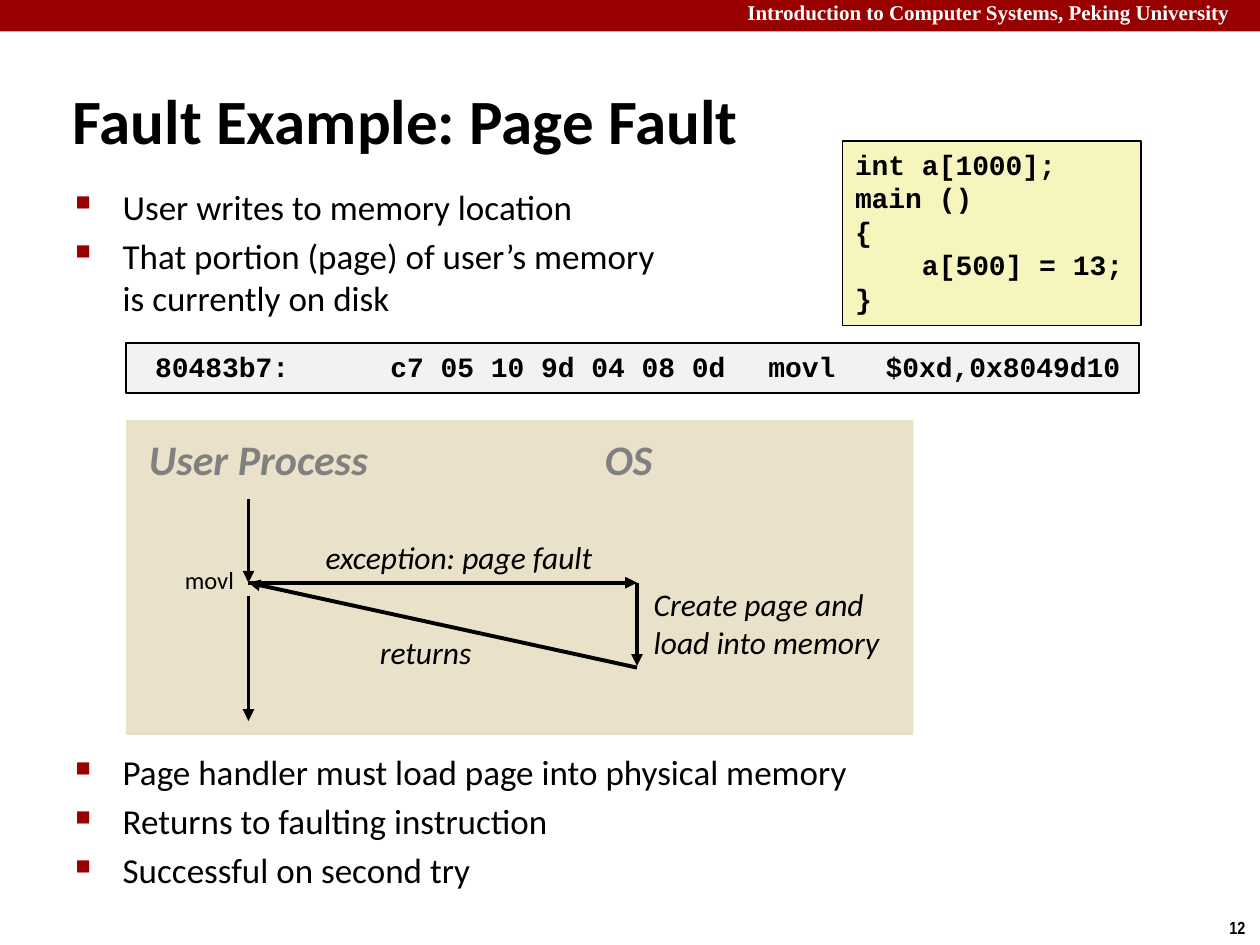
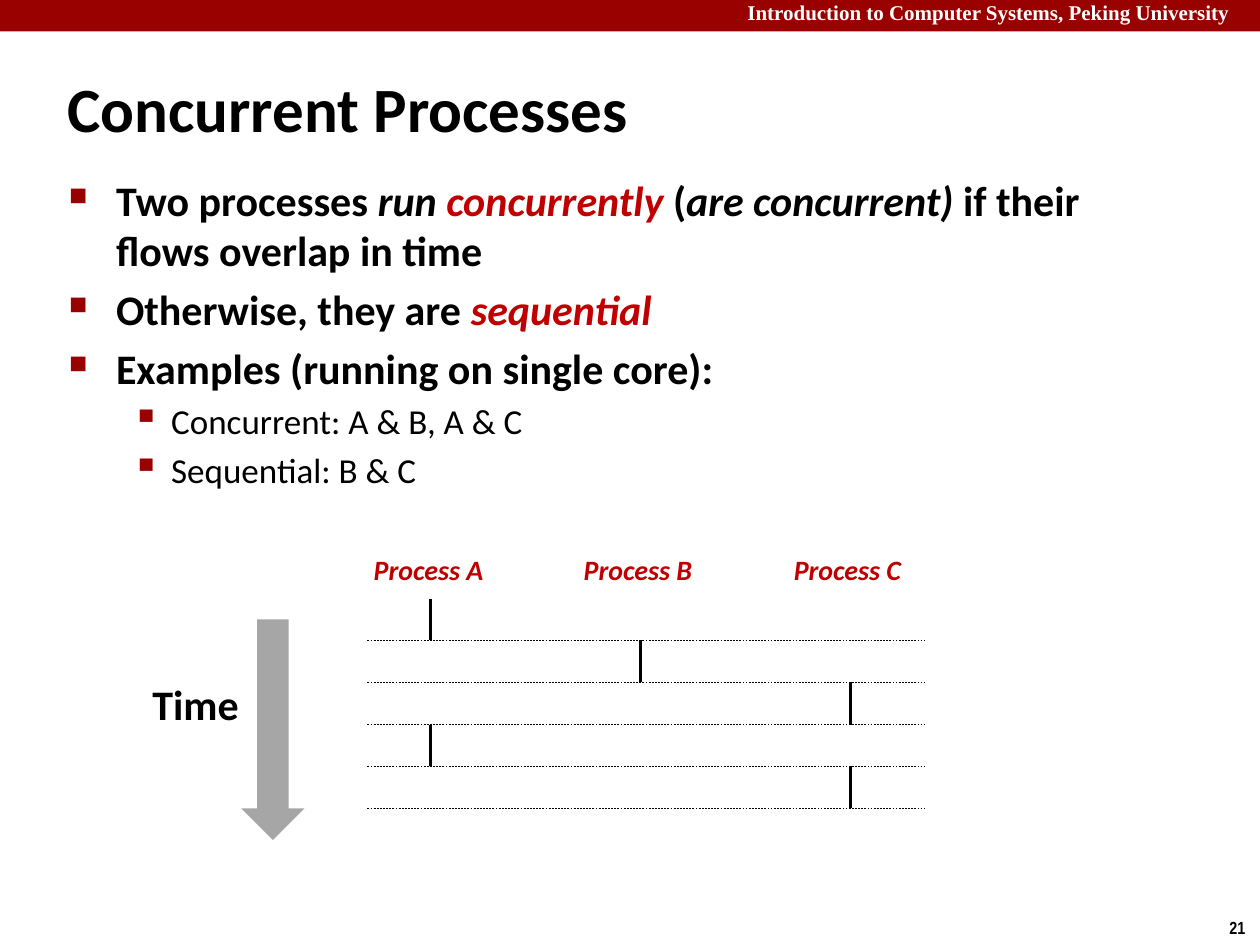
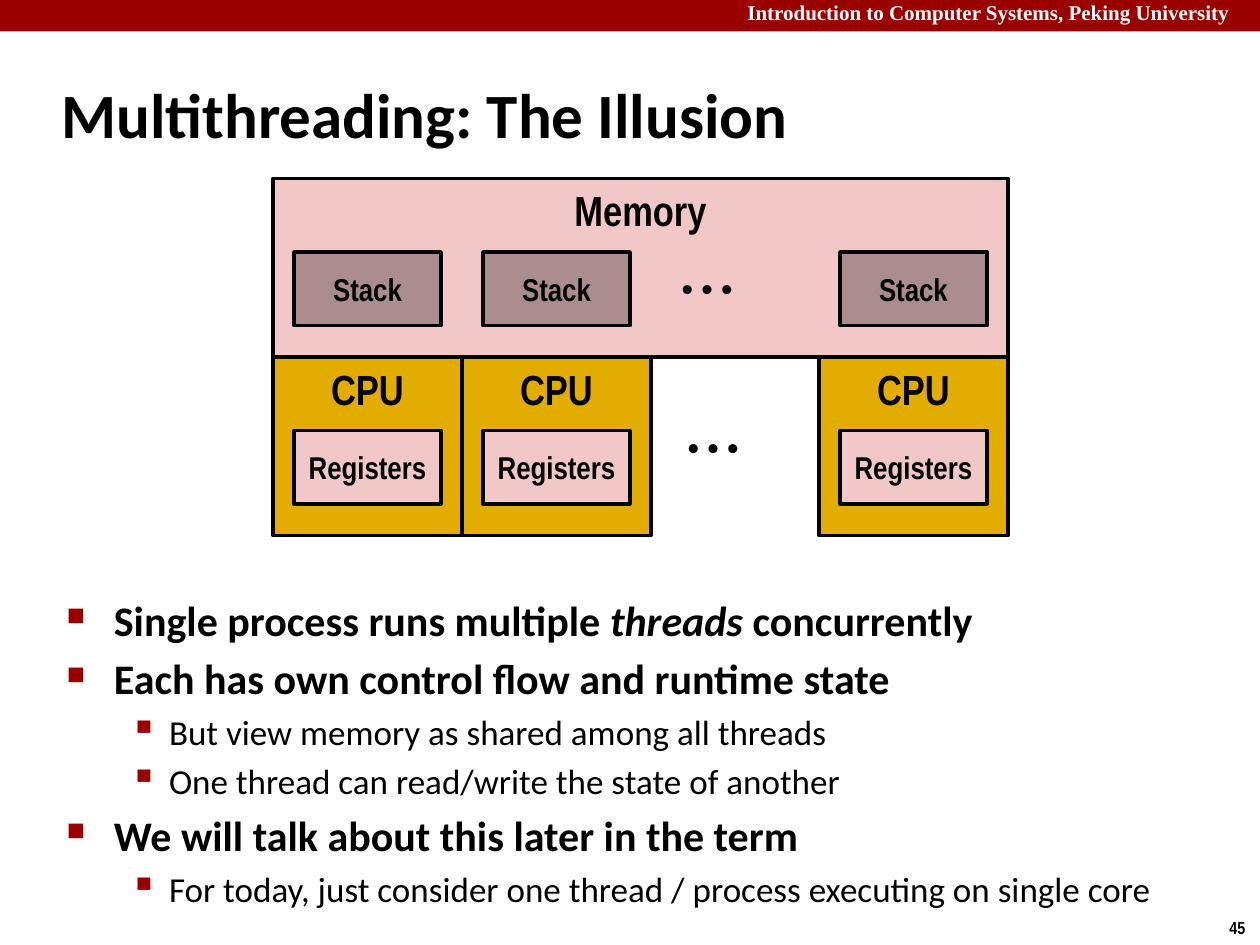
from lxml import etree
from pptx import Presentation
from pptx import util as u
from pptx.dml.color import RGBColor
from pptx.enum import dml, shapes, text
from pptx.oxml import ns

Pt = u.Pt
COLORS = {
    "band": "990000", "white": "FFFFFF", "black": "000000", "accent": "C00000",
    "sand": "E9E1C9", "code": "F6F5BD", "assembly": "F2F2F2", "heading": "808080",
    "time": "A6A6A6", "memory": "F1C7C7", "cpu": "E2AC00", "stack": "AB8D8D",
}
COURSE = "Introduction to Computer Systems, Peking University"
BODY = dict(font="Calibri", size=20)
CODE = dict(font="Courier New", size=16, bold=True)
NOTE = dict(font="Calibri", size=18, italic=True)
HARDWARE = dict(font="Arial Narrow", bold=True)
LEVELS = [
    dict(mark="■", scale=60, margin=27, hang=27, size=24, bold=True),
    dict(mark="▪", scale=110, margin=58.5, hang=22.5, size=20, bold=False),
]
PLAIN_LEVEL = dict(LEVELS[0], size=20, bold=False)


def rgb(name):
    return RGBColor.from_string(COLORS[name])


def add_xml(parent, tag, **attributes):
    return etree.SubElement(parent, ns.qn(tag), attributes)


def add_run(paragraph, words, font, size, color="black", bold=False, italic=False):
    run = paragraph.add_run()
    run.text = words
    run.font.name = font
    run.font.size = Pt(size)
    run.font.bold = bold
    run.font.italic = italic
    run.font.color.rgb = rgb(color)


def prepare_frame(frame, anchor, wrap):
    frame.word_wrap = wrap
    frame.vertical_anchor = anchor
    return frame


def fill_lines(frame, lines, style, align=text.PP_ALIGN.LEFT):
    for index, line in enumerate(lines):
        paragraph = frame.add_paragraph() if index else frame.paragraphs[0]
        paragraph.alignment = align
        add_run(paragraph, line, **style)


def add_label(slide, place, lines, style, wrap=False, anchor=text.MSO_ANCHOR.TOP):
    label = slide.shapes.add_textbox(*map(Pt, place))
    fill_lines(prepare_frame(label.text_frame, anchor, wrap), lines, style)


def add_block(slide, place, fill, weight=0, kind=shapes.MSO_SHAPE.RECTANGLE):
    block = slide.shapes.add_shape(kind, *map(Pt, place))
    block.shadow.inherit = False
    block.fill.solid()
    block.fill.fore_color.rgb = rgb(fill)
    if weight:
        block.line.color.rgb = rgb("black")
        block.line.width = Pt(weight)
    else:
        block.line.fill.background()
    return block


def add_code(slide, place, fill, lines, tabs=()):
    block = add_block(slide, place, fill, 1)
    frame = prepare_frame(block.text_frame, text.MSO_ANCHOR.TOP, bool(tabs))
    if tabs:
        stops = add_xml(frame.paragraphs[0]._p.get_or_add_pPr(), "a:tabLst")
        for stop in tabs:
            add_xml(stops, "a:tab", pos=str(Pt(stop)), algn="l")
    fill_lines(frame, lines, CODE)


def add_part(slide, place, fill, name, size, anchor):
    block = add_block(slide, place, fill, 2)
    frame = prepare_frame(block.text_frame, anchor, True)
    fill_lines(frame, [name], dict(HARDWARE, size=size), text.PP_ALIGN.CENTER)


def add_line(slide, start, end, weight, arrow=False, dashed=False):
    line = slide.shapes.add_connector(shapes.MSO_CONNECTOR.STRAIGHT, *map(Pt, start + end))
    line.line.color.rgb = rgb("black")
    line.line.width = Pt(weight)
    if dashed:
        line.line.dash_style = dml.MSO_LINE.DASH
    if arrow:
        add_xml(line.line._get_or_add_ln(), "a:tailEnd", type="triangle")
    add_xml(line._element.spPr, "a:effectLst")


def add_bullets(slide, place, items):
    body = slide.shapes.add_textbox(*map(Pt, place))
    frame = prepare_frame(body.text_frame, text.MSO_ANCHOR.TOP, True)
    for index, (level, runs) in enumerate(items):
        paragraph = frame.add_paragraph() if index else frame.paragraphs[0]
        props = paragraph._p.get_or_add_pPr()
        props.set("marL", str(Pt(level["margin"])))
        props.set("indent", str(-Pt(level["hang"])))
        add_xml(add_xml(props, "a:buClr"), "a:srgbClr", val=COLORS["band"])
        add_xml(props, "a:buSzPct", val=str(level["scale"] * 1000))
        add_xml(props, "a:buChar", char=level["mark"])
        if index:
            paragraph.space_before = Pt(level["size"] * 0.2)
        style = dict(BODY, size=level["size"], bold=level["bold"])
        for words, changes in runs:
            for row, part in enumerate(words.split("\n")):
                if row:
                    paragraph.add_line_break()
                add_run(paragraph, part, **{**style, **changes})


def plain(level, words):
    return level, [(words, {})]


def start_slide(deck, title, title_place, number):
    slide = deck.slides.add_slide(deck.slide_layouts[6])
    add_block(slide, (0, 0, 720, 18), "band")
    add_label(slide, (420, -3.6, 300, 21.6), [COURSE],
              dict(font="Times New Roman", size=12, color="white", bold=True), wrap=True)
    add_label(slide, (695.5, 520.5, 24.5, 19.5), [number], dict(HARDWARE, size=10))
    add_label(slide, title_place, [title], dict(font="Calibri", size=36, bold=True),
              wrap=True, anchor=text.MSO_ANCHOR.MIDDLE)
    return slide


def page_fault(deck):
    slide = start_slide(deck, "Fault Example: Page Fault", (34.5, 46, 621, 44), "12")
    add_block(slide, (72, 240, 450, 180), "sand")
    add_bullets(slide, (36, 102.2, 440, 85), [
        plain(PLAIN_LEVEL, "User writes to memory location"),
        plain(PLAIN_LEVEL, "That portion (page) of user’s memory \nis currently on disk"),
    ])
    add_bullets(slide, (36, 425.5, 642, 90), [
        plain(PLAIN_LEVEL, "Page handler must load page into physical memory"),
        plain(PLAIN_LEVEL, "Returns to faulting instruction"),
        plain(PLAIN_LEVEL, "Successful on second try"),
    ])
    add_code(slide, (481.5, 80.5, 170.5, 105.5), "code",
             ["int a[1000];", "main ()", "{", "    a[500] = 13;", "}"])
    add_code(slide, (72, 196, 579, 28.5), "assembly",
             [" 80483b7:\tc7 05 10 9d 04 08 0d \tmovl   $0xd,0x8049d10"], tabs=(144, 360))

    heading = dict(font="Calibri", size=24, color="heading", bold=True, italic=True)
    add_label(slide, (78, 244, 142, 36), ["User Process"], heading)
    add_label(slide, (338.5, 244, 42.5, 36), ["OS"], heading)
    user, system, fault, done = 142, 364, 333, 381.5
    for start, end in [
        ((user, 285), (user, fault)),
        ((user, fault), (system, fault)),
        ((system, fault), (system, done - 1)),
        ((system, done), (user, fault)),
        ((user, 340.5), (user, 412)),
    ]:
        add_line(slide, start, end, 2.25, arrow=True)
    add_label(slide, (179, 304, 168.5, 29), ["exception: page fault"], NOTE)
    add_label(slide, (366.5, 331, 155.5, 50.5), ["Create page and", "load into memory"], NOTE)
    add_label(slide, (210, 358, 67, 29), ["returns"], NOTE)
    add_label(slide, (98.5, 319.5, 43, 24.5), ["movl"], dict(BODY, size=14))


def concurrent_processes(deck):
    slide = start_slide(deck, "Concurrent Processes", (31.5, 39, 478, 45), "21")
    main, detail = LEVELS
    italic = dict(italic=True)
    term = dict(italic=True, color="accent")
    add_bullets(slide, (32.2, 96, 622, 204), [
        (main, [("Two processes ", {}), ("run ", italic), ("concurrently", term), (" (", {}),
                ("are concurrent)", italic), (" if their flows overlap in time", {})]),
        (main, [("Otherwise, they are ", {}), ("sequential", term)]),
        plain(main, "Examples (running on single core):"),
        plain(detail, "Concurrent: A & B, A & C"),
        plain(detail, "Sequential: B & C"),
    ])

    top, step = 342, 24
    lanes = {name: 246 + 120 * index for index, name in enumerate("ABC")}
    for name, x in lanes.items():
        add_label(slide, (x - 39.5, 312, 78, 26.5), [f"Process {name}"],
                  dict(font="Calibri", size=16, color="accent", bold=True, italic=True))
    for turn, name in enumerate("ABCAC"):
        begin, end = top + turn * step, top + (turn + 1) * step
        add_line(slide, (lanes[name], begin), (lanes[name], end), 2)
        add_line(slide, (210, end), (528, end), 0.25, dashed=True)
    add_label(slide, (80, 384, 64, 36), ["Time"], dict(font="Calibri", size=24, bold=True))
    add_block(slide, (138, 354, 36, 126), "time", kind=shapes.MSO_SHAPE.DOWN_ARROW)


def multithreading(deck):
    slide = start_slide(deck, "Multithreading: The Illusion", (28, 34.5, 598, 60), "45")
    main, detail = LEVELS
    add_bullets(slide, (31, 336, 659, 163), [
        (main, [("Single process runs multiple ", {}), ("threads", dict(italic=True)),
                (" concurrently", {})]),
        plain(main, "Each has own control flow and runtime state"),
        plain(detail, "But view memory as shared among all threads"),
        plain(detail, "One thread can read/write the state of another"),
        plain(main, "We will talk about this later in the term"),
        plain(detail, "For today, just consider one thread / process executing on single core"),
    ])

    top, middle = text.MSO_ANCHOR.TOP, text.MSO_ANCHOR.MIDDLE
    add_part(slide, (156, 102, 420, 102), "memory", "Memory", 24, top)
    for x in (156, 264, 468):
        add_part(slide, (x, 204, 108, 102), "cpu", "CPU", 24, top)
        add_part(slide, (x + 12, 246, 84, 42), "memory", "Registers", 18, middle)
        add_part(slide, (x + 12, 144, 84, 42), "stack", "Stack", 18, middle)
    for x, y in ((382.5, 150), (386, 241)):
        add_label(slide, (x, y, 75.5, 29), ["• • •"],
                  dict(font="Arial", size=18, bold=True), wrap=True)


def main():
    deck = Presentation()
    deck.slide_width, deck.slide_height = Pt(720), Pt(540)
    page_fault(deck)
    concurrent_processes(deck)
    multithreading(deck)
    deck.save("out.pptx")


if __name__ == "__main__":
    main()
